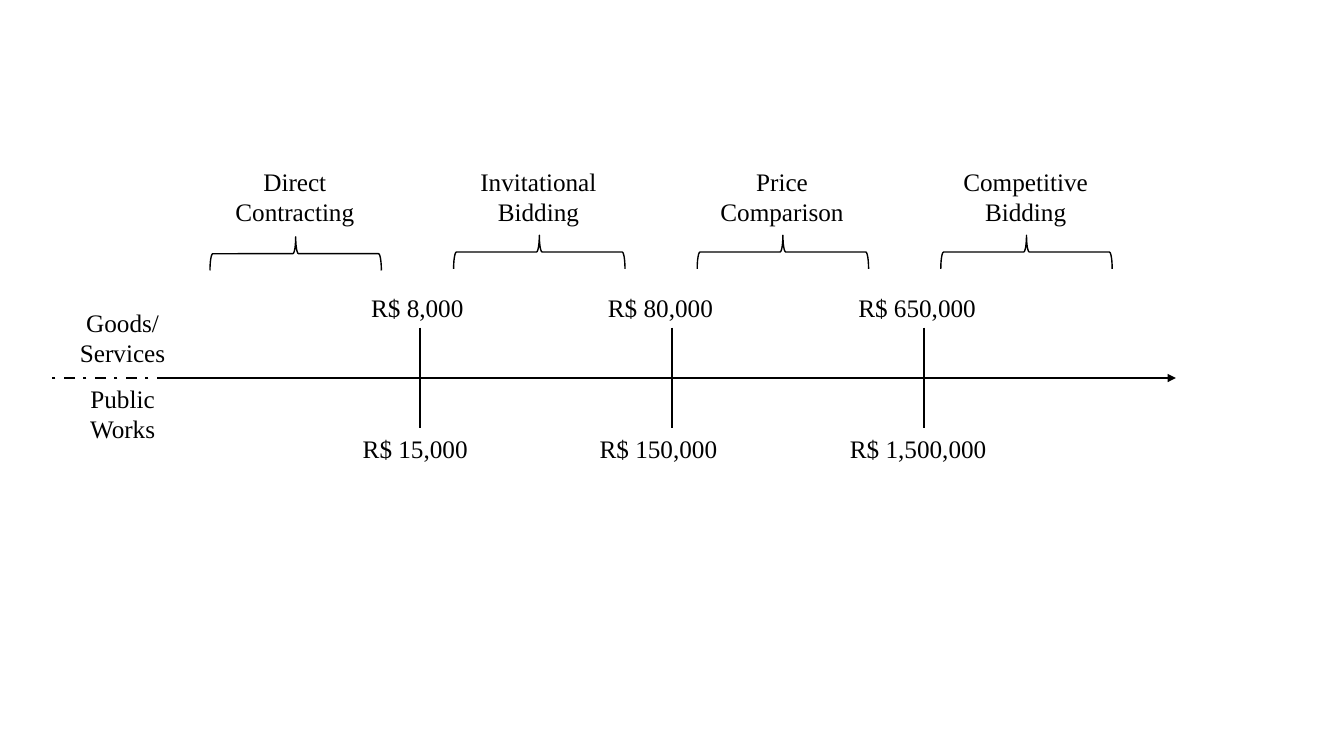
import pptx
import pptx.util
import pptx.dml.color
import pptx.enum.dml
import pptx.enum.shapes
import pptx.enum.text
import pptx.oxml
import pptx.oxml.ns
import lxml.etree

COLORS = {"ink": "000000", "paper": "FFFFFF"}
COLS, ROWS = 16, 9


class Board:
    font = "Times New Roman"
    size = pptx.util.Pt(18)

    def __init__(self, deck):
        self.slide = deck.slides.add_slide(deck.slide_layouts[6])
        self.col = deck.slide_width / COLS
        self.row = deck.slide_height / ROWS
        back = self.slide.background.fill
        back.solid()
        back.fore_color.rgb = self.color("paper")

    def color(self, name):
        return pptx.dml.color.RGBColor.from_string(COLORS[name])

    def place(self, *spots):
        units = (self.col, self.row, self.col, self.row)
        return [round(spot * unit) for spot, unit in zip(spots, units)]

    def label(self, words, left, top, width, height, center=False):
        box = self.slide.shapes.add_textbox(*self.place(left, top, width, height))
        frame = box.text_frame
        frame.word_wrap = True
        frame.auto_size = pptx.enum.text.MSO_AUTO_SIZE.SHAPE_TO_FIT_TEXT
        frame.text = words
        for para in frame.paragraphs:
            para.font.name = self.font
            para.font.size = self.size
            para.font.color.rgb = self.color("ink")
            if center:
                para.alignment = pptx.enum.text.PP_ALIGN.CENTER

    def line(self, left, top, right, bottom, dash=None, arrow=False):
        kind = pptx.enum.shapes.MSO_CONNECTOR.STRAIGHT
        link = self.slide.shapes.add_connector(kind, *self.place(left, top, right, bottom))
        link.line.color.rgb = self.color("ink")
        link.line.width = pptx.util.Pt(2)
        if dash:
            link.line.dash_style = dash
        if arrow:
            tail = lxml.etree.SubElement(link.line._get_or_add_ln(), pptx.oxml.ns.qn("a:tailEnd"))
            tail.set("type", "triangle")
        lxml.etree.SubElement(link._element.spPr, pptx.oxml.ns.qn("a:effectLst"))

    def brace(self, left, top, width, height):
        kind = pptx.enum.shapes.MSO_SHAPE.LEFT_BRACE
        shape = self.slide.shapes.add_shape(kind, *self.place(left, top, width, height))
        shape.rotation = 90
        shape.shadow.inherit = False
        shape.fill.background()
        shape.line.color.rgb = self.color("ink")
        shape.line.width = pptx.util.Pt(1)


def main():
    deck = pptx.Presentation()
    deck.slide_width = pptx.util.Inches(13.333)
    deck.slide_height = pptx.util.Inches(7.5)
    board = Board(deck)

    limits = [
        (5, ("R$ 8,000", 4.3, 1.4), ("R$ 15,000", 4.2, 1.6)),
        (8, ("R$ 80,000", 7.12, 1.68), ("R$ 150,000", 7.02, 1.79)),
        (11, ("R$ 650,000", 10.1, 1.9), ("R$ 1,500,000", 10, 2)),
    ]
    for tick, goods, works in limits:
        for (words, left, width), top in ((goods, 3.42), (works, 5.1)):
            board.label(words, left, top, width, 0.48)
        board.line(tick, 3.9, tick, 5.1)

    methods = ["Direct\nContracting", "Invitational\nBidding",
               "Price\nComparison", "Competitive\nBidding"]
    for i, method in enumerate(methods):
        shift = 2.9 * i
        board.label(method, 2.46 + shift, 1.92, 2.1, 0.85, center=True)
        board.brace(3.32 + shift, 1.98 if i else 2, 0.4, 2.04)

    board.line(2, 4.5, 14, 4.5, arrow=True)
    for words, top in (("Goods/Services", 3.6), ("Public Works", 4.5)):
        board.label(words, 0.8, top, 1.32, 0.96, center=True)
    board.line(2, 4.5, 0.6, 4.5, dash=pptx.enum.dml.MSO_LINE.DASH_DOT)

    deck.save("out.pptx")


if __name__ == "__main__":
    main()
